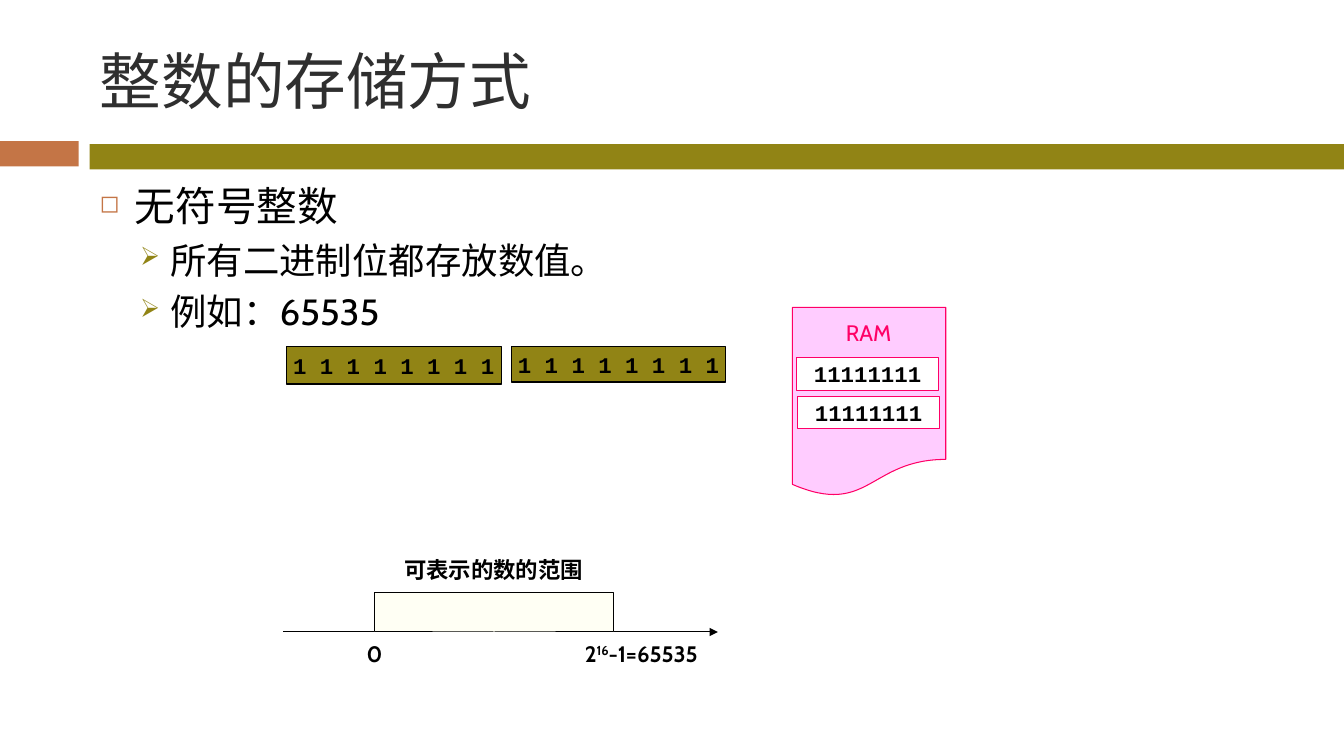
"""Build the slide on how unsigned integers are stored."""
from dataclasses import dataclass

import pptx
import pptx.dml.color
import pptx.enum.shapes
import pptx.enum.text
import pptx.oxml
import pptx.oxml.ns
import pptx.util
from lxml import etree

RGBColor = pptx.dml.color.RGBColor
Inches = pptx.util.Inches
Pt = pptx.util.Pt
Kind = pptx.enum.shapes.MSO_SHAPE
Align = pptx.enum.text.PP_ALIGN
Anchor = pptx.enum.text.MSO_ANCHOR
qn = pptx.oxml.ns.qn

BLACK = RGBColor(0x00, 0x00, 0x00)
WHITE = RGBColor(0xFF, 0xFF, 0xFF)
GRAY = RGBColor(0x2F, 0x2F, 0x2F)
RUST = RGBColor(0xC4, 0x75, 0x46)
OLIVE = RGBColor(0x91, 0x84, 0x15)
PINK = RGBColor(0xFF, 0xCC, 0xFF)
ROSE = RGBColor(0xFF, 0x00, 0x66)
CREAM = RGBColor(0xFF, 0xFF, 0xF4)
SANS = "Cabin"
MONO = "Courier New"


@dataclass
class Box:
    left: float
    top: float
    width: float
    height: float
    fill: RGBColor
    line: RGBColor | None = None
    text: str = ""
    font: str = MONO
    color: RGBColor = BLACK
    bold: bool = True
    kind: Kind = Kind.RECTANGLE


@dataclass
class Label:
    left: float
    top: float
    width: float
    runs: list[tuple[str, int]]


@dataclass
class Item:
    text: str
    size: float
    level: int
    left: float
    hang: float
    space: float
    mark: str
    color: RGBColor
    scale: int


def add_run(para, text: str, size: float, font: str = SANS,
            color: RGBColor = BLACK, bold: bool = False):
    run = para.add_run()
    run.text = text
    run.font.size = Pt(size)
    run.font.name = font
    run.font.bold = bold
    run.font.color.rgb = color
    return run


def center(frame):
    frame.word_wrap = False
    frame.vertical_anchor = Anchor.MIDDLE
    para = frame.paragraphs[0]
    para.alignment = Align.CENTER
    return para


def draw_box(slide, box: Box) -> None:
    shape = slide.shapes.add_shape(
        box.kind, Inches(box.left), Inches(box.top),
        Inches(box.width), Inches(box.height))
    shape.shadow.inherit = False
    shape.fill.solid()
    shape.fill.fore_color.rgb = box.fill
    if box.line is None:
        shape.line.fill.background()
    else:
        shape.line.color.rgb = box.line
        shape.line.width = Pt(0.75)
    if box.text:
        add_run(center(shape.text_frame), box.text, 16,
                box.font, box.color, box.bold)


def draw_label(slide, label: Label) -> None:
    shape = slide.shapes.add_textbox(
        Inches(label.left), Inches(label.top),
        Inches(label.width), Inches(0.26))
    para = center(shape.text_frame)
    for text, base in label.runs:
        run = add_run(para, text, 16, bold=True)
        if base:
            run._r.get_or_add_rPr().set("baseline", str(base * 1000))


def add_mark(para, item: Item) -> None:
    props = para._p.get_or_add_pPr()
    props.set("marL", str(Inches(item.left)))
    props.set("indent", str(-Inches(item.hang)))
    tint = etree.SubElement(props, qn("a:buClr"))
    etree.SubElement(tint, qn("a:srgbClr")).set("val", str(item.color))
    size = etree.SubElement(props, qn("a:buSzPct"))
    size.set("val", str(item.scale * 1000))
    etree.SubElement(props, qn("a:buChar")).set("char", item.mark)


def draw_list(slide, items: list[Item]) -> None:
    shape = slide.shapes.add_textbox(
        Inches(0.89), Inches(1.75), Inches(11.89), Inches(4.92))
    frame = shape.text_frame
    frame.word_wrap = True
    for place, item in enumerate(items):
        para = frame.add_paragraph() if place else frame.paragraphs[0]
        para.level = item.level
        if place:
            para.space_before = Pt(item.space)
        add_mark(para, item)
        add_run(para, item.text, item.size)


def draw_title(slide, text: str) -> None:
    title = slide.shapes.title
    title.left, title.top = Inches(0.89), Inches(0.25)
    title.width, title.height = Inches(11.89), Inches(1.08)
    title.text_frame.vertical_anchor = Anchor.MIDDLE
    para = title.text_frame.paragraphs[0]
    para.alignment = Align.LEFT
    add_run(para, text, 44, color=GRAY)


def draw_axis(slide) -> None:
    axis = slide.shapes.add_connector(
        pptx.enum.shapes.MSO_CONNECTOR.STRAIGHT,
        Inches(2.81), Inches(6.27), Inches(7.12), Inches(6.27))
    axis.line.color.rgb = BLACK
    axis.line.width = Pt(0.75)
    props = axis._element.spPr
    line = props.find(qn("a:ln"))
    etree.SubElement(line, qn("a:tailEnd")).set("type", "triangle")
    etree.SubElement(props, qn("a:effectLst"))


def main() -> None:
    deck = pptx.Presentation()
    deck.slide_width, deck.slide_height = Inches(13.33), Inches(7.5)
    slide = deck.slides.add_slide(deck.slide_layouts[5])
    bits = " ".join("1" * 8)
    byte = "1" * 8
    bands = [
        Box(0, 1.4, 0.78, 0.25, RUST),
        Box(0.89, 1.43, 12.44, 0.25, OLIVE),
    ]
    memory = [
        Box(2.84, 3.44, 2.13, 0.37, OLIVE, BLACK, bits),
        Box(5.07, 3.44, 2.13, 0.35, OLIVE, BLACK, bits),
        Box(7.86, 3.05, 1.52, 1.88, PINK, ROSE, kind=Kind.FLOWCHART_DOCUMENT),
        Box(7.9, 3.55, 1.41, 0.32, WHITE, ROSE, byte),
        Box(7.91, 3.93, 1.41, 0.32, WHITE, ROSE, byte),
        Box(8.04, 3.11, 1.15, 0.37, PINK, None, "RAM", SANS, ROSE, False),
    ]
    span = Box(3.71, 5.88, 2.38, 0.39, CREAM, BLACK)
    items = [Item("无符号整数", 29, 0, 0.35, 0.35, 7, "◻", RUST, 60)]
    items += [Item(text, 26, 1, 0.7, 0.3, 5.5, "➢", OLIVE, 70)
              for text in ("所有二进制位都存放数值。", "例如：65535")]
    labels = [
        Label(3.48, 6.35, 0.47, [("0", 0)]),
        Label(5.65, 6.35, 1.42, [("2", 0), ("16", 30), ("-1=65535", 0)]),
        Label(3.78, 5.52, 2.23, [("可表示的数的范围", 0)]),
    ]
    for band in bands:
        draw_box(slide, band)
    draw_title(slide, "整数的存储方式")
    draw_list(slide, items)
    for box in memory:
        draw_box(slide, box)
    draw_axis(slide)
    draw_box(slide, span)
    for label in labels:
        draw_label(slide, label)
    deck.save("out.pptx")


if __name__ == "__main__":
    main()
